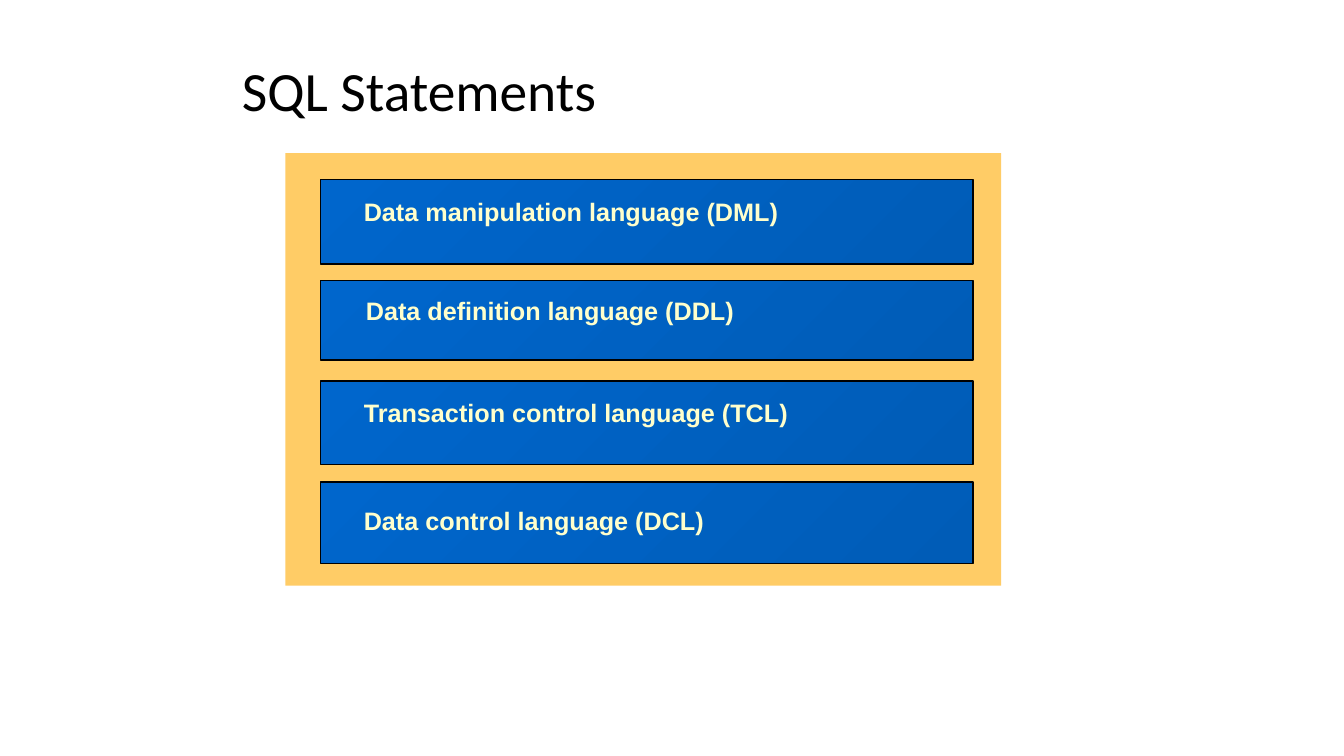
from dataclasses import dataclass

from pptx import Presentation
from pptx.dml.color import RGBColor
from pptx.enum.shapes import MSO_SHAPE
from pptx.enum.text import MSO_ANCHOR, MSO_AUTO_SIZE, PP_ALIGN
from pptx.util import Inches, Pt

# Content: label, bar height, label inset (left, top), label width
TITLE = "SQL Statements"
STATEMENTS = [
    ("Data manipulation language (DML)", 0.84, (0.33, 0.12), 4.35),
    ("Data definition language (DDL)", 0.79, (0.35, 0.10), 3.89),
    ("Transaction control language (TCL)", 0.83, (0.33, 0.11), 4.45),
    ("Data control language (DCL)", 0.81, (0.33, 0.18), 3.61),
]

# Grid, in inches
SLIDE_SIZE = (13.33, 7.5)
TITLE_BOX = (2.3, 0.59, 8.5, 0.67)
PANEL_BOX = (2.83, 1.52, 7.1, 4.29)
BAR_LEFT, BAR_TOP, BAR_WIDTH, BAR_PITCH = 3.18, 1.78, 6.47, 1.0
LABEL_HEIGHT = 0.4


@dataclass(frozen=True)
class Theme:
    title_font: str = "Calibri"
    label_font: str = "Arial"
    title_size: float = 39.6
    label_size: float = 18
    title_color: str = "000000"
    label_color: str = "FFFFCC"
    panel: str = "FFCC66"
    bar_start: str = "0066CC"
    bar_end: str = "005CB7"
    outline: str = "000000"


THEME = Theme()


def color(value):
    return RGBColor.from_string(value)


def write_text(shape, text, *, font, size, rgb, bold=False, wrap=True,
               anchor=MSO_ANCHOR.TOP, auto_size=MSO_AUTO_SIZE.NONE, spacing=1.0):
    frame = shape.text_frame
    frame.word_wrap = wrap
    frame.auto_size = auto_size
    frame.vertical_anchor = anchor
    paragraph = frame.paragraphs[0]
    paragraph.alignment = PP_ALIGN.LEFT
    paragraph.line_spacing = spacing
    run = paragraph.add_run()
    run.text = text
    run.font.name = font
    run.font.size = Pt(size)
    run.font.bold = bold
    run.font.color.rgb = color(rgb)


def add_rectangle(slide, box):
    shape = slide.shapes.add_shape(MSO_SHAPE.RECTANGLE, *map(Inches, box))
    shape.shadow.inherit = False
    return shape


def add_panel(slide):
    panel = add_rectangle(slide, PANEL_BOX)
    panel.fill.solid()
    panel.fill.fore_color.rgb = color(THEME.panel)
    panel.line.fill.background()


def add_bar(slide, box):
    bar = add_rectangle(slide, box)
    bar.fill.gradient()
    bar.fill.gradient_angle = 315
    stops = bar.fill.gradient_stops
    for stop, position, rgb in zip(stops, (0, 1), (THEME.bar_start, THEME.bar_end)):
        stop.position = position
        stop.color.rgb = color(rgb)
    bar.line.color.rgb = color(THEME.outline)
    bar.line.width = Pt(1)


def main():
    presentation = Presentation()
    presentation.slide_width, presentation.slide_height = map(Inches, SLIDE_SIZE)
    slide = presentation.slides.add_slide(presentation.slide_layouts[5])

    # Title
    title = slide.shapes.title
    title.left, title.top, title.width, title.height = map(Inches, TITLE_BOX)
    write_text(title, TITLE, font=THEME.title_font, size=THEME.title_size,
               rgb=THEME.title_color, anchor=MSO_ANCHOR.MIDDLE, spacing=0.9)

    # Panel with one labelled bar per row
    add_panel(slide)
    for row, (text, height, (inset_left, inset_top), width) in enumerate(STATEMENTS):
        top = BAR_TOP + row * BAR_PITCH
        add_bar(slide, (BAR_LEFT, top, BAR_WIDTH, height))
        label_box = (BAR_LEFT + inset_left, top + inset_top, width, LABEL_HEIGHT)
        label = slide.shapes.add_textbox(*map(Inches, label_box))
        write_text(label, text, font=THEME.label_font, size=THEME.label_size,
                   rgb=THEME.label_color, bold=True, wrap=False,
                   auto_size=MSO_AUTO_SIZE.SHAPE_TO_FIT_TEXT)

    presentation.save("out.pptx")


if __name__ == "__main__":
    main()
